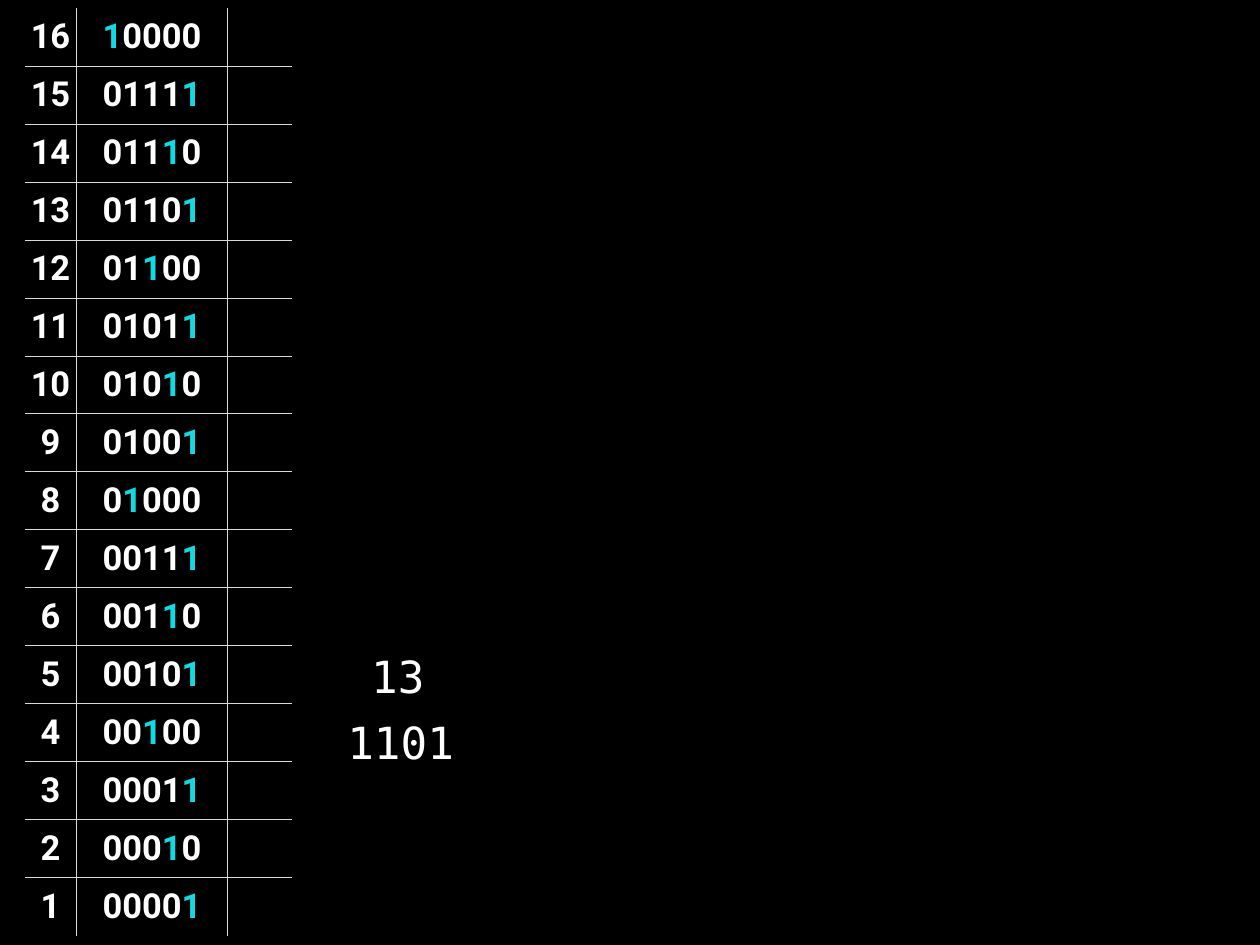
from dataclasses import dataclass

from lxml.etree import SubElement
from pptx import Presentation
from pptx.dml.color import RGBColor
from pptx.enum.text import MSO_ANCHOR, PP_ALIGN
from pptx.oxml.ns import qn
from pptx.util import Inches, Pt

WHITE, CYAN, BLACK, GRID = "FFFFFF", "11DBE2", "000000", "D9D9D9"
ROW_COUNT = 16
TABLE_HEIGHT = 10.48
COLUMN_WIDTHS = (0.58, 1.71, 0.73)
INSET = Inches(0.06)


@dataclass
class Label:
    text: str
    left: float
    top: float
    width: float


LABELS = (Label("13", 4.13, 7.29, 0.73), Label("1101", 3.86, 8.03, 1.33))


def color(value: str) -> RGBColor:
    return RGBColor.from_string(value)


def set_insets(target) -> None:
    target.margin_left = target.margin_right = INSET
    target.margin_top = target.margin_bottom = INSET
    target.vertical_anchor = MSO_ANCHOR.MIDDLE


def set_borders(cell, inner_edges: dict[str, bool]) -> None:
    """Draw grid lines on inner edges and clear the outer ones."""
    properties = cell._tc.get_or_add_tcPr()
    for edge, is_inner in inner_edges.items():
        line = SubElement(properties, qn(f"a:{edge}"), w=str(Pt(0.75)))
        if is_inner:
            fill = SubElement(line, qn("a:solidFill"))
            SubElement(fill, qn("a:srgbClr"), val=GRID)
        else:
            SubElement(line, qn("a:noFill"))


def write_cell(cell, parts: list[tuple[str, str]]) -> None:
    paragraph = cell.text_frame.paragraphs[0]
    paragraph.alignment = PP_ALIGN.CENTER
    paragraph.font.name = "Roboto"
    paragraph.font.size = Pt(28)
    paragraph.font.bold = True
    for text, text_color in parts:
        if text:
            run = paragraph.add_run()
            run.text = text
            run.font.color.rgb = color(text_color)


def binary_parts(number: int) -> list[tuple[str, str]]:
    """Split a five-digit binary number around its lowest set bit."""
    before, bit, after = format(number, "05b").rpartition("1")
    return [(before, WHITE), (bit, CYAN), (after, WHITE)]


def add_number_table(slide) -> None:
    column_count = len(COLUMN_WIDTHS)
    table = slide.shapes.add_table(
        ROW_COUNT, column_count, Inches(0.28), Inches(0.09),
        Inches(sum(COLUMN_WIDTHS)), Inches(TABLE_HEIGHT)).table
    table.first_row = table.horz_banding = False
    for column, width in zip(table.columns, COLUMN_WIDTHS):
        column.width = Inches(width)
    for row_index, row in enumerate(table.rows):
        row.height = Inches(TABLE_HEIGHT / ROW_COUNT)
        for column_index, cell in enumerate(row.cells):
            set_insets(cell)
            set_borders(cell, {
                "lnL": column_index > 0,
                "lnR": column_index < column_count - 1,
                "lnT": row_index > 0,
                "lnB": row_index < ROW_COUNT - 1,
            })
            cell.fill.background()
        number = ROW_COUNT - row_index
        write_cell(row.cells[0], [(str(number), WHITE)])
        write_cell(row.cells[1], binary_parts(number))


def add_label(slide, label: Label) -> None:
    shape = slide.shapes.add_textbox(
        Inches(label.left), Inches(label.top), Inches(label.width), Inches(0.68))
    frame = shape.text_frame
    frame.word_wrap = False
    set_insets(frame)
    paragraph = frame.paragraphs[0]
    paragraph.text = label.text
    paragraph.font.name = "DejaVu Sans Mono"
    paragraph.font.size = Pt(36)
    paragraph.font.color.rgb = color(WHITE)


def main() -> None:
    presentation = Presentation()
    presentation.slide_width = Inches(14.22)
    presentation.slide_height = Inches(10.67)
    slide = presentation.slides.add_slide(presentation.slide_layouts[6])
    slide.background.fill.solid()
    slide.background.fill.fore_color.rgb = color(BLACK)

    # Numbers with their lowest set bit highlighted
    add_number_table(slide)

    # Example value in decimal and binary
    for label in LABELS:
        add_label(slide, label)

    presentation.save("out.pptx")


if __name__ == "__main__":
    main()
